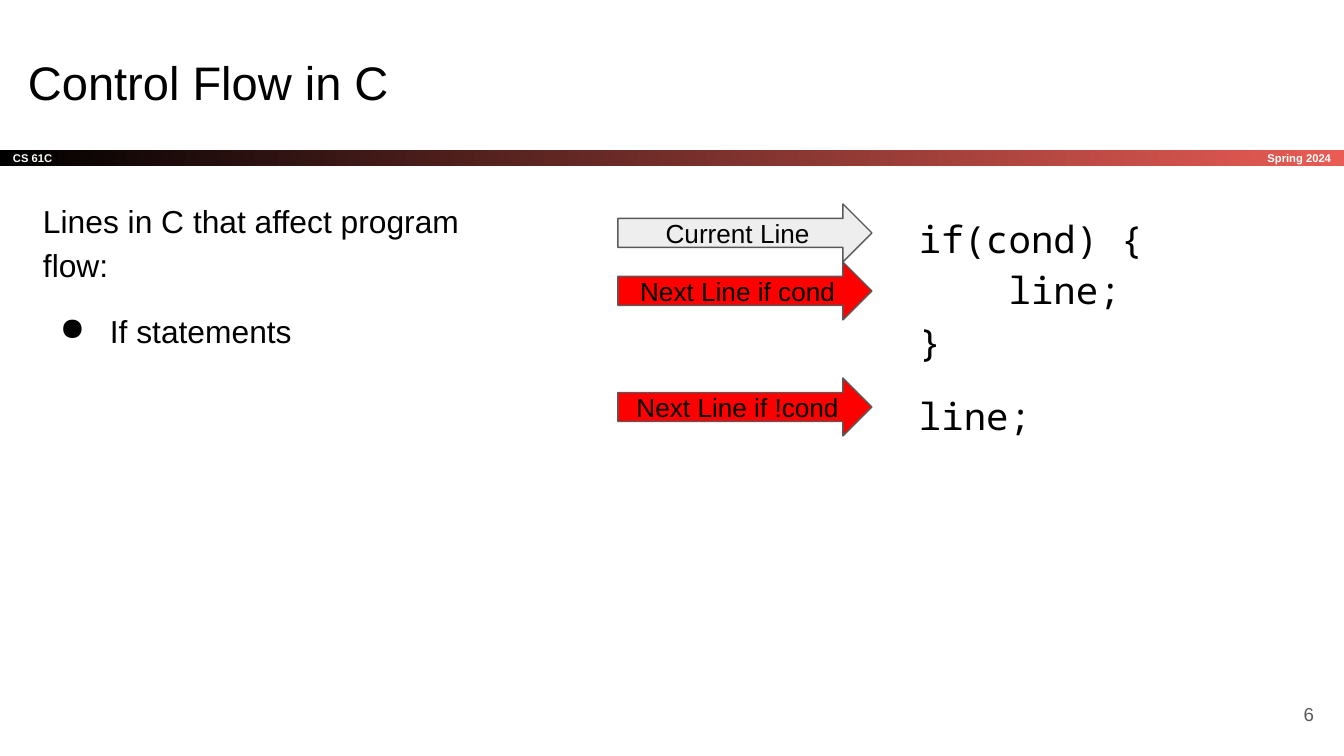
import pptx
import pptx.util
import pptx.dml.color
import pptx.enum.shapes
import pptx.enum.text
from dataclasses import dataclass
from lxml import etree

ALIGN = pptx.enum.text.PP_ALIGN
ANCHOR = pptx.enum.text.MSO_ANCHOR
KIND = pptx.enum.shapes.MSO_SHAPE


@dataclass(frozen=True)
class Theme:
    sans: str = "Arial"
    mono: str = "Noto Sans Mono"
    black: str = "000000"
    white: str = "FFFFFF"
    coral: str = "E85C54"
    gray: str = "595959"
    pale: str = "EEEEEE"
    red: str = "FF0000"
    tiny: float = 6
    small: float = 10
    label: float = 14
    body: float = 17
    code: float = 20
    title: float = 25.2


T = Theme()
WIDE, HIGH, PAD = 1344, 756, 13
TITLE = "Control Flow in C"
COURSE, TERM, PAGE = "CS 61C", "Spring 2024", "6"
INTRO = "Lines in C that affect program flow:"
POINT = "If statements"
CODE = ["if(cond) {\n    line;\n}", "line;"]
ARROWS = [
    (0, "Current Line", T.pale),
    (1, "Next Line if cond", T.red),
    (3, "Next Line if !cond", T.red),
]
BAR = (0, 150, WIDE, 16)
LEFT, TOP, SPAN, STEP = 618, 204, 254, 58


def px(n):
    return round(n * 914400 / 134.4)


def rgb(hue):
    return pptx.dml.color.RGBColor.from_string(hue)


def write(shape, texts, size, hue=T.black, face=T.sans, bold=False,
          align=ALIGN.LEFT, anchor=ANCHOR.MIDDLE, lead=None):
    frame = shape.text_frame
    frame.word_wrap = True
    frame.vertical_anchor = anchor
    frame.margin_left = frame.margin_right = px(PAD)
    frame.margin_top = frame.margin_bottom = px(PAD)
    for i, text in enumerate(texts):
        para = frame.add_paragraph() if i else frame.paragraphs[0]
        para.text = text
        para.alignment = align
        para.line_spacing = lead
        if i:
            para.space_before = pptx.util.Pt(12)
        font = para.font
        font.name, font.size, font.bold = face, pptx.util.Pt(size), bold
        font.color.rgb = rgb(hue)
    return frame.paragraphs


def bullet(para, mark, left, hang):
    props = para._p.get_or_add_pPr()
    props.set("marL", str(px(left)))
    props.set("indent", str(-px(hang)))
    char = etree.Element(pptx.oxml.ns.qn("a:buChar"), char=mark)
    props.find(pptx.oxml.ns.qn("a:defRPr")).addprevious(char)


def main():
    deck = pptx.Presentation()
    deck.slide_width, deck.slide_height = px(WIDE), px(HIGH)
    shapes = deck.slides.add_slide(deck.slide_layouts[6]).shapes

    def box(*spot):
        return shapes.add_textbox(*map(px, spot))

    def form(kind, *spot):
        shape = shapes.add_shape(kind, *map(px, spot))
        shape.shadow.inherit = False
        return shape

    bar = form(KIND.RECTANGLE, *BAR)
    bar.line.fill.background()
    bar.fill.gradient()
    bar.fill.gradient_angle = 0
    for stop, hue in zip(bar.fill.gradient_stops, (T.black, T.coral)):
        stop.color.rgb = rgb(hue)
    write(bar, [COURSE], T.tiny, T.white, bold=True)
    write(box(1121, 150, 223, 16), [TERM], T.tiny, T.white, bold=True,
          align=ALIGN.RIGHT)

    write(box(15, 40, 1253, 84), [TITLE], T.title, anchor=ANCHOR.TOP)
    paras = write(box(30, 183, 465, 532), [INTRO, POINT], T.body,
                  anchor=ANCHOR.TOP, lead=1.15)
    bullet(paras[1], "●", 67, 50)
    write(box(1246, 685, 81, 58), [PAGE], T.small, T.gray,
          align=ALIGN.RIGHT)
    paras = write(box(906, 196, 392, 500), CODE, T.code, face=T.mono,
                  anchor=ANCHOR.TOP, lead=1.15)
    paras[-1].space_after = pptx.util.Pt(12)

    for row, text, hue in ARROWS:
        arrow = form(KIND.RIGHT_ARROW, LEFT, TOP + row * STEP, SPAN, STEP)
        arrow.fill.solid()
        arrow.fill.fore_color.rgb = rgb(hue)
        arrow.line.color.rgb = rgb(T.gray)
        arrow.line.width = pptx.util.Pt(0.75)
        write(arrow, [text], T.label, align=ALIGN.CENTER)

    deck.save("out.pptx")


if __name__ == "__main__":
    main()
